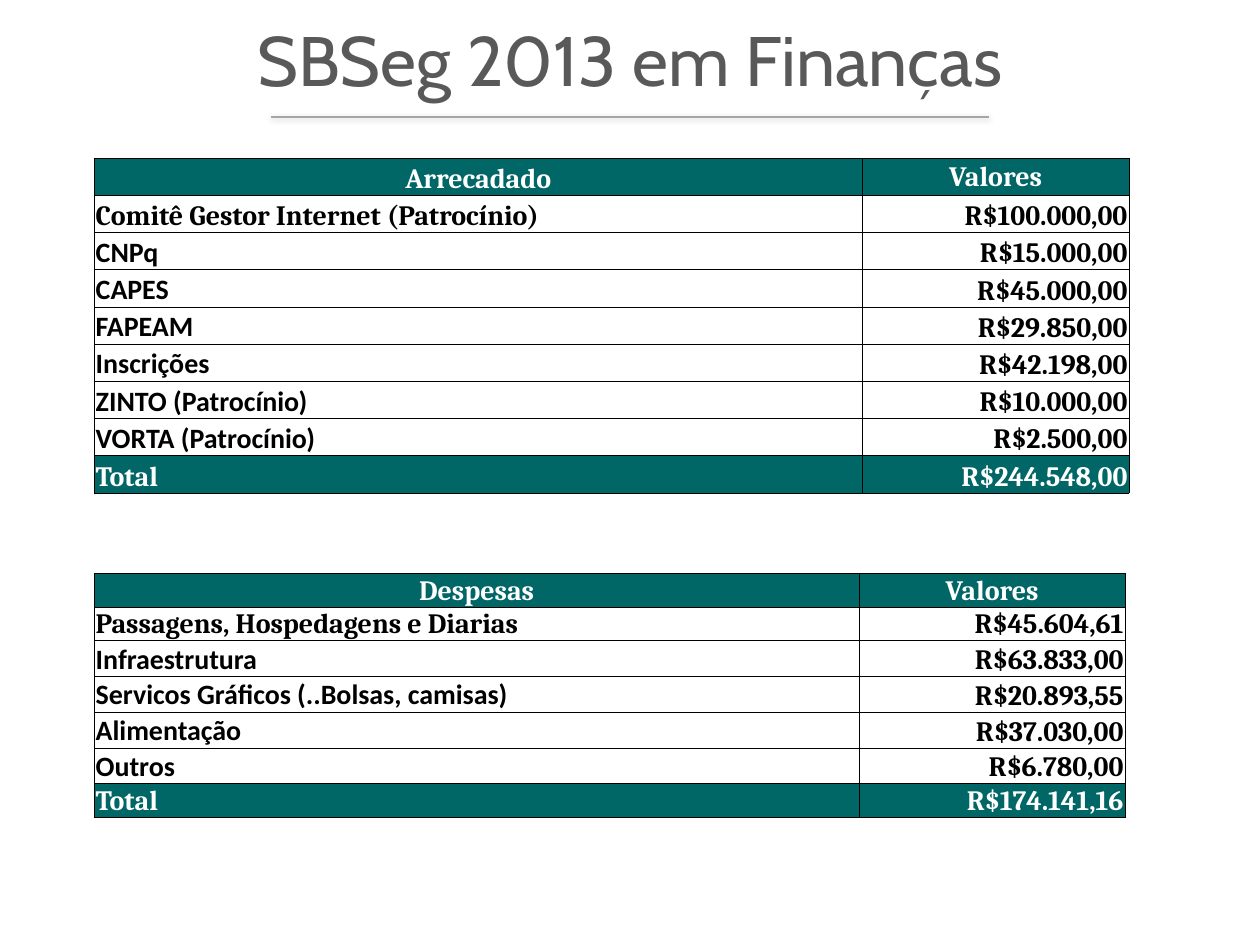
from pptx import Presentation
from pptx.dml.color import RGBColor as RGB
from pptx.enum.shapes import MSO_CONNECTOR as Conn
from pptx.enum.text import MSO_ANCHOR as Anchor, PP_ALIGN as Align
from pptx.oxml import parse_xml
from pptx.oxml.ns import nsdecls
from pptx.util import Cm, Pt

GREEN, WHITE, BLACK = "006666", "FFFFFF", "000000"


def color(code):
    return RGB.from_string(code)


def write(frame, text, font="Cambria", size=16, ink=BLACK, bold=True, align=Align.LEFT):
    par = frame.paragraphs[0]
    par.alignment = align
    run = par.add_run()
    run.text = text
    run.font.name = font
    run.font.size = Pt(size)
    run.font.bold = bold
    run.font.color.rgb = color(ink)


deck = Presentation()
deck.slide_width, deck.slide_height = Cm(25.4), Cm(19.05)
slide = deck.slides.add_slide(deck.slide_layouts[5])

# Title
title = slide.shapes.title
title.left, title.top, title.width, title.height = Cm(1.9), Cm(-0.13), Cm(21.6), Cm(2.62)
title.text_frame.vertical_anchor = Anchor.MIDDLE
write(title.text_frame, "SBSeg 2013 em Finanças", font="Cabin", size=40,
      ink="595959", bold=False, align=Align.CENTER)

# Rule under the title, with a soft shadow
rule = slide.shapes.add_connector(Conn.STRAIGHT, Cm(19.94), Cm(2.36), Cm(5.46), Cm(2.36))
rule.line.color.rgb = color("A6A6A6")
rule.line.width = Pt(1)
rule._element.spPr.append(parse_xml(
    f'<a:effectLst {nsdecls("a")}><a:outerShdw blurRad="{Pt(3)}" dist="{Pt(1)}" '
    'dir="5400000" rotWithShape="0"><a:srgbClr val="000000"><a:alpha val="20000"/>'
    '</a:srgbClr></a:outerShdw></a:effectLst>'))

# Tables: top, column widths, row height, full height, rows
income = [
    ("Arrecadado", "Valores"),
    ("Comitê Gestor Internet (Patrocínio)", "R$100.000,00"),
    ("CNPq", "R$15.000,00"),
    ("CAPES", "R$45.000,00"),
    ("FAPEAM", "R$29.850,00"),
    ("Inscrições", "R$42.198,00"),
    ("ZINTO (Patrocínio)", "R$10.000,00"),
    ("VORTA (Patrocínio)", "R$2.500,00"),
    ("Total", "R$244.548,00"),
]
costs = [
    ("Despesas", "Valores"),
    ("Passagens, Hospedagens e Diarias", "R$45.604,61"),
    ("Infraestrutura", "R$63.833,00"),
    ("Servicos Gráficos (..Bolsas, camisas)", "R$20.893,55"),
    ("Alimentação", "R$37.030,00"),
    ("Outros", "R$6.780,00"),
    ("Total", "R$174.141,16"),
]
plans = [
    (3.19, (15.48, 5.38), 0.75, 6.76, income),
    (11.56, (15.42, 5.36), 0.56, 4.98, costs),
]

for top, widths, step, height, rows in plans:
    frame = slide.shapes.add_table(len(rows), 2, Cm(1.9), Cm(top),
                                   Cm(sum(widths)), Cm(height))
    table = frame.table
    for col, width in zip(table.columns, widths):
        col.width = Cm(width)
    for i, row in enumerate(rows):
        table.rows[i].height = Cm(step)
        head, band = i == 0, i in (0, len(rows) - 1)
        for j, text in enumerate(row):
            cell = table.cell(i, j)
            cell.margin_left = cell.margin_right = cell.margin_top = Cm(0.03)
            cell.margin_bottom = 0
            cell.vertical_anchor = Anchor.MIDDLE if head and j else Anchor.BOTTOM

            # Borders come before the fill
            props = cell._tc.get_or_add_tcPr()
            for side in "LRTB":
                props.append(parse_xml(
                    f'<a:ln{side} {nsdecls("a")} w="{Pt(0.5)}"><a:solidFill>'
                    f'<a:srgbClr val="{BLACK}"/></a:solidFill></a:ln{side}>'))
            if band:
                cell.fill.solid()
                cell.fill.fore_color.rgb = color(GREEN)
            else:
                cell.fill.background()

            plain = j == 0 and i > 1 and not band
            write(cell.text_frame, text,
                  font="Calibri" if plain else "Cambria",
                  ink=WHITE if band else BLACK,
                  align=Align.CENTER if head else Align.RIGHT if j else Align.LEFT)
    frame.height = Cm(height)

deck.save("out.pptx")
